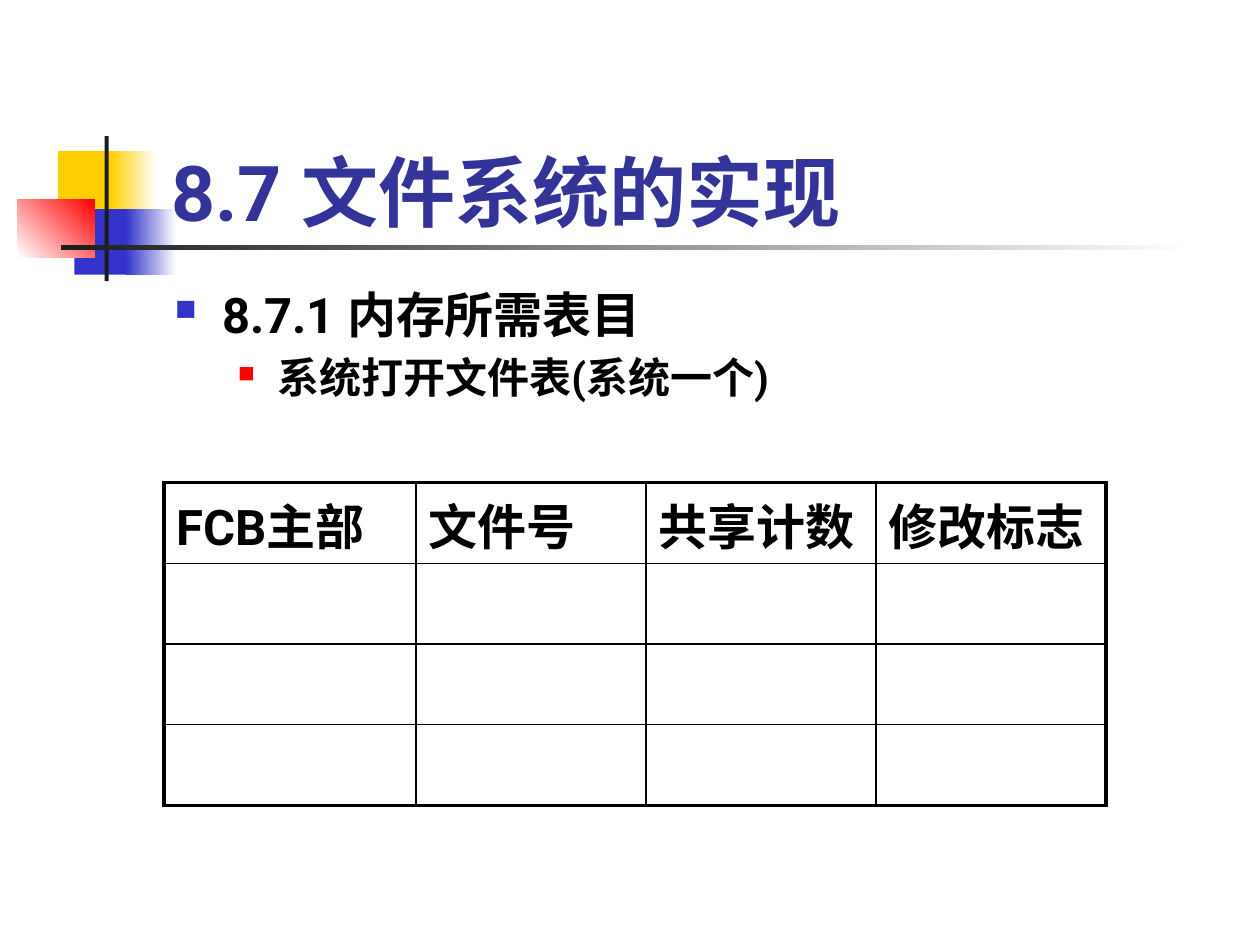
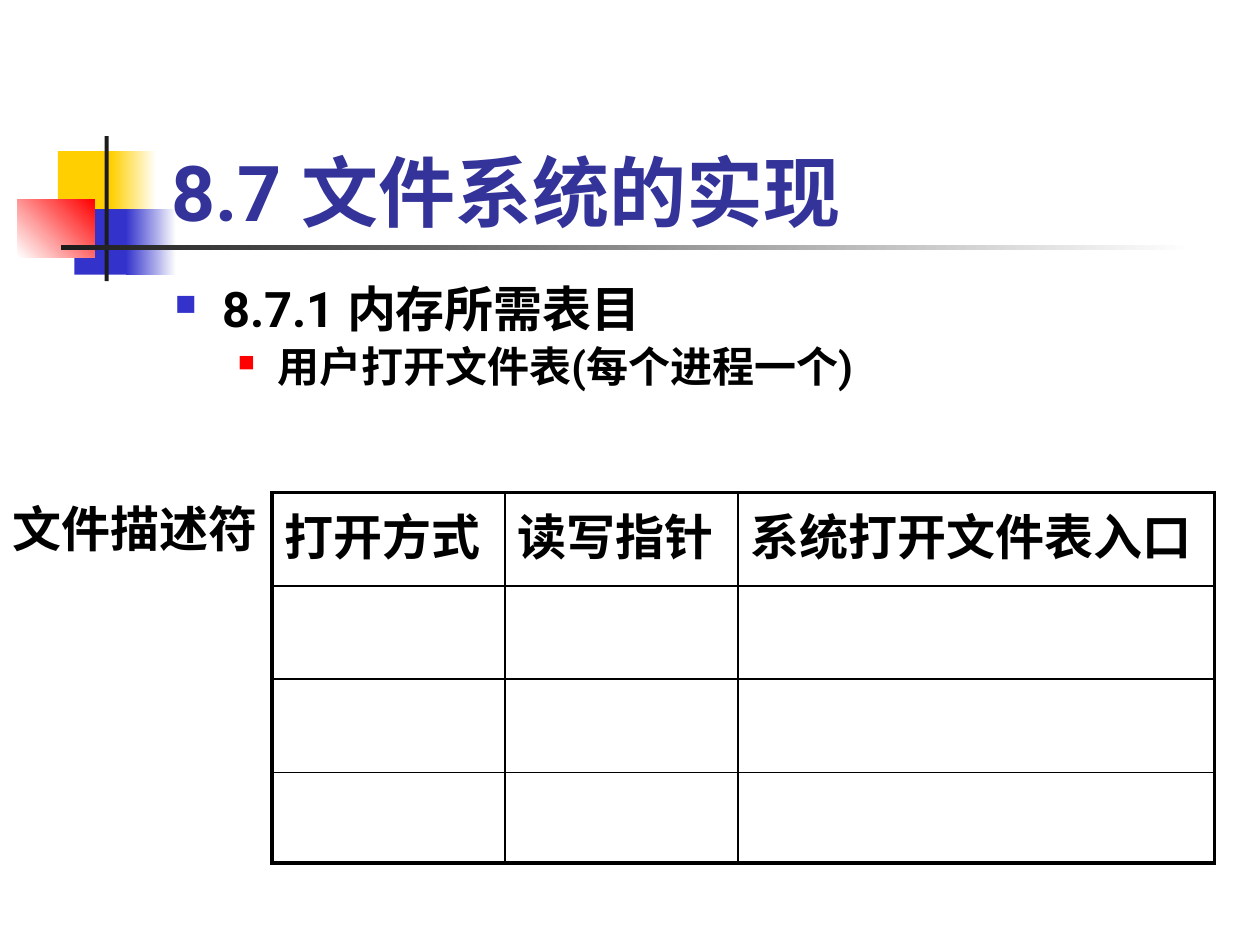
"""Build two slides on the tables a file system keeps in memory."""
import pptx
import pptx.dml.color
import pptx.enum.shapes
import pptx.enum.text
import pptx.oxml.ns
import pptx.util
from lxml import etree

Pt = pptx.util.Pt
COLORS = {
    "yellow": "FFCF01", "blue": "3333CC", "red": "FF0000", "white": "FFFFFF",
    "dark": "1C1C1C", "title": "333399", "text": "000000",
}
FONT = "Roboto"
TITLE = "8.7 文件系统的实现"
TOPIC = "8.7.1 内存所需表目"
SLIDES = [
    {
        "point": "系统打开文件表(系统一个)",
        "body": (92.9, 159.1, 442.8, 88.6),
        "line_spacing": 1.0,
        "table_at": (93.6, 275.8),
        "headers": ["FCB主部", "文件号", "共享计数", "修改标志"],
        "cols": [144, 131.5, 131.5, 131.5],
        "rows": [46.1] * 4,
    },
    {
        "point": "用户打开文件表(每个进程一个)",
        "body": (92.9, 159.1, 573.1, 71.3),
        "line_spacing": 0.9,
        "table_at": (155.5, 281.5),
        "headers": ["打开方式", "读写指针", "系统打开文件表入口"],
        "cols": [133.2, 133.2, 272.2],
        "rows": [53.3, 53.3, 53.3, 51.8],
        "label": ("文件描述符", (0, 281.5, 155.5, 41)),
    },
]
TITLE_BOX = (90.7, 49, 613.4, 90)
DECOR = [
    ((33.1, 86.4, 34.6, 37.4), ["yellow"], 0),
    ((63.4, 86.4, 25.9, 37.4), ["yellow", "white"], 0),
    ((42.5, 119.5, 33.1, 37.4), ["blue"], 0),
    ((72, 119.5, 28.8, 37.4), ["blue", "white"], 0),
    ((10.1, 113.8, 43.9, 33.1), ["white", "red"], 45),
    ((59.8, 77.8, 2.3, 82.8), ["dark"], 0),
    ((34.6, 140.2, 648, 2.4), ["dark", "white"], 0),
]
LEVELS = [
    {"size": 28, "margin": 27, "indent": -27, "color": "blue", "bullet": 60},
    {"size": 24, "margin": 58.5, "indent": -22.5, "color": "red", "bullet": 55},
]
OUTER, INNER = 2.25, 1


def rgb(name):
    return pptx.dml.color.RGBColor.from_string(COLORS[name])


def add_xml(parent, tag, **attrs):
    return etree.SubElement(parent, pptx.oxml.ns.qn(tag), {k: str(v) for k, v in attrs.items()})


def write(p, text, size, color="text", **formats):
    r = p.add_run()
    r.text = text
    for name, value in {"name": FONT, "size": Pt(size), "bold": True}.items():
        setattr(r.font, name, value)
    r.font.color.rgb = rgb(color)
    for name, value in formats.items():
        setattr(p, name, value)


def add_box(s, box):
    tf = s.shapes.add_textbox(*map(Pt, box)).text_frame
    tf.word_wrap = True
    return tf


def decorate(layout, s):
    for box, colors, angle in DECOR:
        sp = s.shapes.add_shape(pptx.enum.shapes.MSO_SHAPE.RECTANGLE, *map(Pt, box))
        sp.shadow.inherit = False
        sp.line.fill.background()
        if len(colors) == 1:
            sp.fill.solid()
            sp.fill.fore_color.rgb = rgb(colors[0])
        else:
            sp.fill.gradient()
            sp.fill.gradient_angle = angle
            for stop, color in zip(sp.fill.gradient_stops, colors):
                stop.color.rgb = rgb(color)
        layout.shapes.element.append(sp.element)


def add_title(s):
    sp = s.shapes.title
    for name, value in zip(("left", "top", "width", "height"), TITLE_BOX):
        setattr(sp, name, Pt(value))
    tf = sp.text_frame
    tf.auto_size = pptx.enum.text.MSO_AUTO_SIZE.NONE
    tf.vertical_anchor = pptx.enum.text.MSO_ANCHOR.BOTTOM
    write(tf.paragraphs[0], TITLE, 44, "title", alignment=pptx.enum.text.PP_ALIGN.LEFT)


def add_body(s, content):
    tf = add_box(s, content["body"])
    for i, (text, level) in enumerate(zip((TOPIC, content["point"]), LEVELS)):
        p = tf.add_paragraph() if i else tf.paragraphs[0]
        write(p, text, level["size"], level=i, line_spacing=content["line_spacing"],
              space_before=Pt(level["size"] * 0.2))
        pPr = p._p.get_or_add_pPr()
        pPr.set("marL", str(Pt(level["margin"])))
        pPr.set("indent", str(Pt(level["indent"])))
        add_xml(add_xml(pPr, "a:buClr"), "a:srgbClr", val=COLORS[level["color"]])
        add_xml(pPr, "a:buSzPct", val=level["bullet"] * 1000)
        add_xml(pPr, "a:buChar", char="■")


def add_borders(cell, edges):
    tcPr = cell._tc.get_or_add_tcPr()
    for side, is_outer in edges.items():
        ln = add_xml(tcPr, f"a:ln{side}", w=Pt(OUTER if is_outer else INNER))
        add_xml(add_xml(ln, "a:solidFill"), "a:srgbClr", val=COLORS["text"])


def add_grid(s, content):
    cols, rows = content["cols"], content["rows"]
    box = (*content["table_at"], sum(cols), sum(rows))
    table = s.shapes.add_table(len(rows), len(cols), *map(Pt, box)).table
    table.first_row = table.horz_banding = False
    for col, width in zip(table.columns, cols):
        col.width = Pt(width)
    for i, height in enumerate(rows):
        table.rows[i].height = Pt(height)
        for j in range(len(cols)):
            cell = table.cell(i, j)
            add_borders(cell, {"L": j == 0, "R": j == len(cols) - 1,
                               "T": i == 0, "B": i == len(rows) - 1})
            cell.fill.background()
    for j, text in enumerate(content["headers"]):
        write(table.cell(0, j).text_frame.paragraphs[0], text, 28, space_before=Pt(5.6))


def main():
    prs = pptx.Presentation()
    prs.slide_width, prs.slide_height = Pt(720), Pt(540)
    layout = prs.slide_layouts[5]
    for i, content in enumerate(SLIDES):
        s = prs.slides.add_slide(layout)
        if i == 0:
            decorate(layout, s)
        add_title(s)
        add_body(s, content)
        add_grid(s, content)
        if "label" in content:
            text, box = content["label"]
            write(add_box(s, box).paragraphs[0], text, 28, space_before=Pt(14))
    prs.save("out.pptx")


if __name__ == "__main__":
    main()
